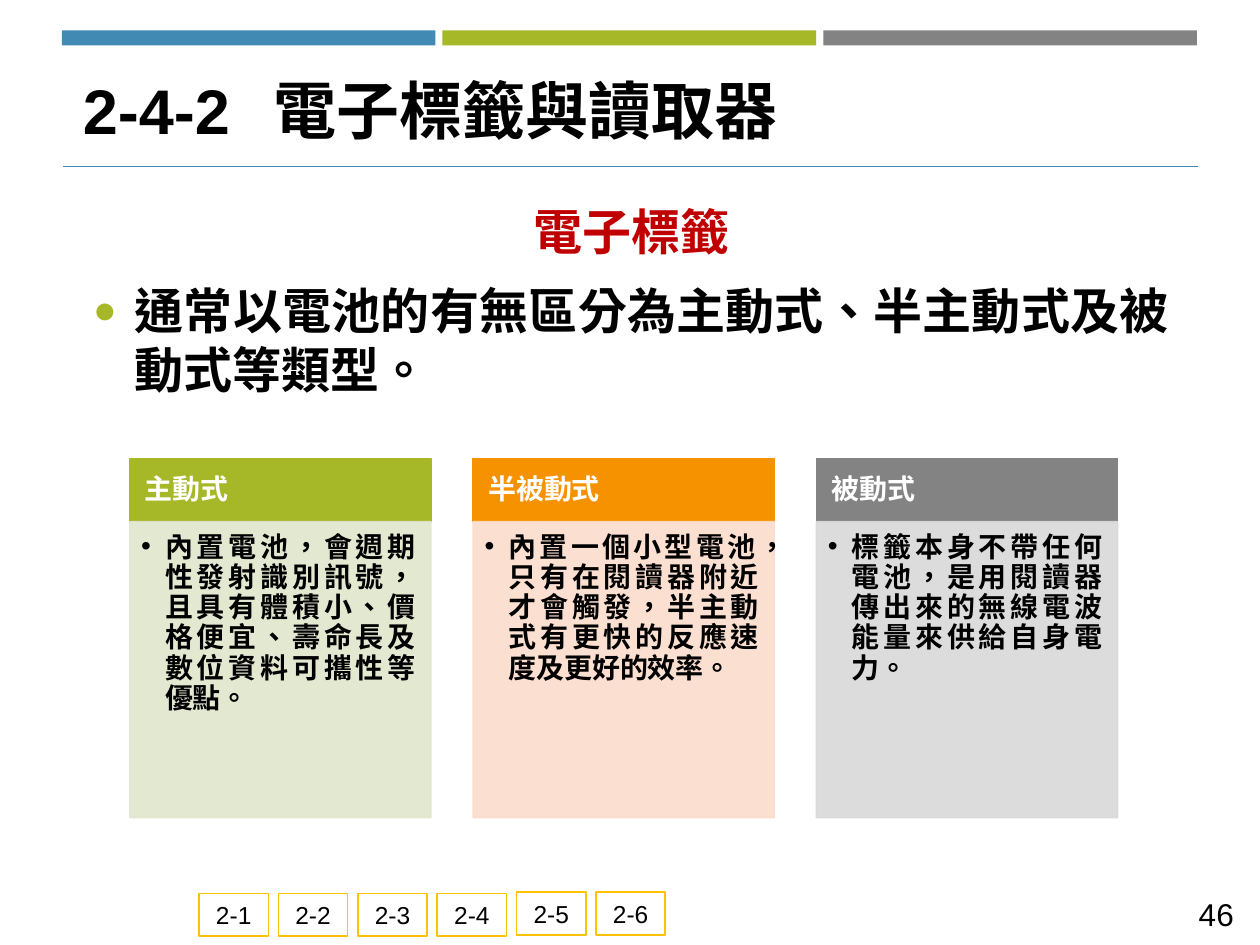
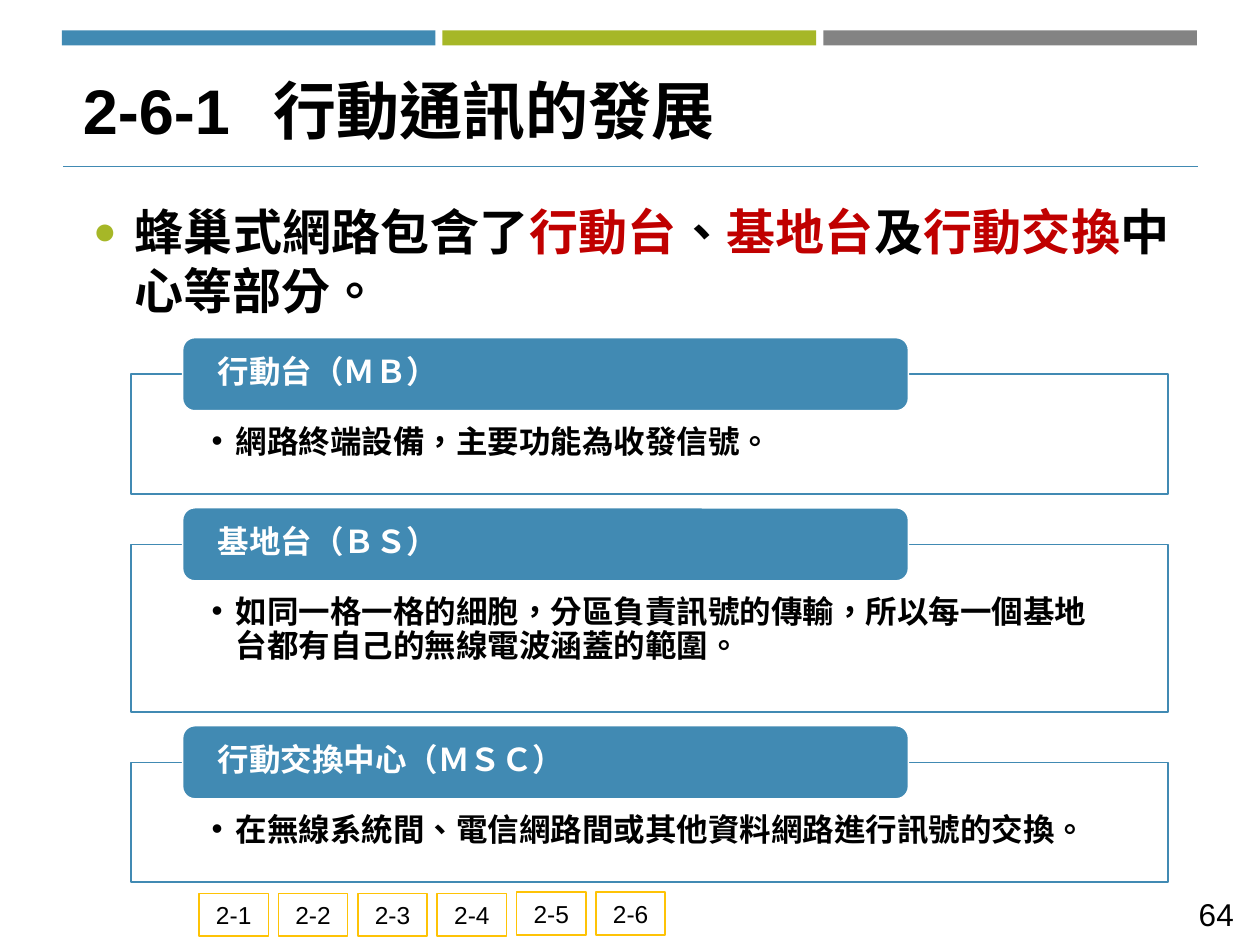
from typing import NamedTuple, Optional

from lxml.etree import SubElement
from pptx import Presentation
from pptx.dml.color import RGBColor
from pptx.enum.shapes import MSO_CONNECTOR, MSO_SHAPE
from pptx.enum.text import MSO_ANCHOR, PP_ALIGN
from pptx.oxml.ns import qn
from pptx.util import Inches, Pt

# Grid: every length counts columns or rows of a 100 x 75 grid
COLUMNS, ROWS = 100, 75
SLIDE_WIDTH, SLIDE_HEIGHT = Inches(10), Inches(7.5)
CELL = SLIDE_WIDTH // COLUMNS

# Shared look
FONT = "Arial"
BLUE, GREEN, GRAY, ORANGE, GOLD = "418AB3", "A6B727", "838383", "F69200", "FEC306"
BLACK, WHITE, RED = "000000", "FFFFFF", "C00000"
HAIRLINE = 0.85
LEFT, CENTER, RIGHT, JUSTIFY = (PP_ALIGN.LEFT, PP_ALIGN.CENTER,
                                PP_ALIGN.RIGHT, PP_ALIGN.JUSTIFY)
SECTIONS = ["2-1", "2-2", "2-3", "2-4", "2-5", "2-6"]


class Box(NamedTuple):
    col: float
    row: float
    cols: float
    rows: float


class Insets(NamedTuple):
    left: float = 1
    top: float = 0.5
    right: float = 1
    bottom: float = 0.5


class Bullet(NamedTuple):
    char: str
    indent: float
    color: str = BLACK
    percent: int = 100


class Span(NamedTuple):
    text: str
    color: str = BLACK


class Para(NamedTuple):
    spans: list[Span]
    size: float
    align: PP_ALIGN = LEFT
    bold: bool = True
    bullet: Optional[Bullet] = None
    tab: float = 0
    before: float = 0
    after: float = 0
    spacing: float = 1


class TagType(NamedTuple):
    name: str
    detail: str
    color: str
    tint: str


class NetworkPart(NamedTuple):
    name: str
    detail: str
    rows: float


BODY_BULLET = Bullet("●", 3.3, GREEN, 80)
DETAIL_BULLET = Bullet("•", 1.9)


def grid(cells: float) -> int:
    return round(cells * CELL)


def rgb(color: str) -> RGBColor:
    return RGBColor.from_string(color)


# Text
def set_bullet(p_pr, bullet: Bullet) -> None:
    p_pr.set("marL", str(grid(bullet.indent)))
    p_pr.set("indent", str(-grid(bullet.indent)))
    SubElement(SubElement(p_pr, qn("a:buClr")), qn("a:srgbClr"), val=bullet.color)
    SubElement(p_pr, qn("a:buSzPct"), val=str(bullet.percent * 1000))
    SubElement(p_pr, qn("a:buFont"), typeface=FONT)
    SubElement(p_pr, qn("a:buChar"), char=bullet.char)


def write(shape, paras: list[Para], insets: Insets = Insets(),
          anchor: MSO_ANCHOR = MSO_ANCHOR.TOP) -> None:
    frame = shape.text_frame
    frame.word_wrap = True
    frame.vertical_anchor = anchor
    frame.margin_left, frame.margin_top, frame.margin_right, frame.margin_bottom = map(
        grid, insets)
    for index, para in enumerate(paras):
        paragraph = frame.add_paragraph() if index else frame.paragraphs[0]
        p_pr = paragraph._p.get_or_add_pPr()
        if para.bullet:
            set_bullet(p_pr, para.bullet)
        if para.tab:
            stops = SubElement(p_pr, qn("a:tabLst"))
            SubElement(stops, qn("a:tab"), pos=str(grid(para.tab)), algn="l")
        paragraph.alignment = para.align
        paragraph.line_spacing = para.spacing
        paragraph.space_before = Pt(para.before)
        paragraph.space_after = Pt(para.after)
        for span in para.spans:
            run = paragraph.add_run()
            run.text = span.text
            run.font.name = FONT
            run.font.size = Pt(para.size)
            run.font.bold = para.bold
            run.font.color.rgb = rgb(span.color)
            r_pr = run._r.get_or_add_rPr()
            r_pr.set("lang", "zh-TW")
            SubElement(r_pr, qn("a:ea"), typeface=FONT)


def add_text(slide, box: Box, paras: list[Para],
             anchor: MSO_ANCHOR = MSO_ANCHOR.TOP) -> None:
    write(slide.shapes.add_textbox(*map(grid, box)), paras, anchor=anchor)


# Shapes
def add_block(slide, box: Box, fill: str, line: Optional[str] = None,
              kind: MSO_SHAPE = MSO_SHAPE.RECTANGLE, opacity: int = 100):
    block = slide.shapes.add_shape(kind, *map(grid, box))
    block.shadow.inherit = False
    block.fill.solid()
    block.fill.fore_color.rgb = rgb(fill)
    if line:
        block.line.color.rgb = rgb(line)
        block.line.width = Pt(HAIRLINE)
    else:
        block.line.fill.background()
    if opacity < 100:
        for color in block._element.spPr.iter(qn("a:srgbClr")):
            SubElement(color, qn("a:alpha"), val=str(opacity * 1000))
    return block


# Parts that every slide shares
def add_section_tabs(slide) -> None:
    for index, section in enumerate(SECTIONS):
        row = 70.9 if index < 4 else 70.8
        tab = add_block(slide, Box(15.8 + 6.3 * index, row, 5.5, 3.4), WHITE, GOLD)
        write(tab, [Para([Span(section)], 14, CENTER, bold=False)],
              anchor=MSO_ANCHOR.MIDDLE)


def add_top_bands(slide) -> None:
    for index, color in enumerate([BLUE, GREEN, GRAY]):
        add_block(slide, Box(4.9 + 30.22 * index, 2.4, 29.65, 1.2), color)


def add_title_rule(slide) -> None:
    rule = slide.shapes.add_connector(MSO_CONNECTOR.STRAIGHT, grid(5), grid(13.2),
                                      grid(95.1), grid(13.2))
    rule.line.color.rgb = rgb(BLUE)
    rule.line.width = Pt(0.75)
    SubElement(rule._element.spPr, qn("a:effectLst"))


def add_page(deck, number: str, topic: str, page: int, body: list[Para]):
    slide = deck.slides.add_slide(deck.slide_layouts[6])
    add_section_tabs(slide)
    add_top_bands(slide)
    add_title_rule(slide)
    add_text(slide, Box(5.6, 4.6, 88.2, 8.1),
             [Para([Span(f"{number}\t{topic}")], 36, tab=15.1)], MSO_ANCHOR.MIDDLE)
    add_text(slide, Box(6.4, 15.5, 87.4, 53.4), body)
    add_text(slide, Box(90.5, 70.5, 8.4, 4),
             [Para([Span(str(page))], 18, RIGHT, bold=False)], MSO_ANCHOR.MIDDLE)
    return slide


# Slide: tag types in three columns
TAG_TYPES = [
    TagType("主動式",
            "內置電池，會週期性發射識別訊號，且具有體積小、價格便宜、壽命長及數位資料可攜性等優點。",
            GREEN, "E1E6CD"),
    TagType("半被動式",
            "內置一個小型電池，只有在閱讀器附近才會觸發，半主動式有更快的反應速度及更好的效率。",
            ORANGE, "FBDCCC"),
    TagType("被動式",
            "標籤本身不帶任何電池，是用閱讀器傳出來的無線電波能量來供給自身電力。",
            GRAY, "D9D9D9"),
]


def add_tag_slide(deck) -> None:
    slide = add_page(deck, "2-4-2", "電子標籤與讀取器", 46, [
        Para([Span("電子標籤", RED)], 28, CENTER, after=6),
        Para([Span("通常以電池的有無區分為主動式、半主動式及被動式等類型。")], 28, JUSTIFY,
             bullet=BODY_BULLET, before=5.6, after=6),
    ])
    for index, tag in enumerate(TAG_TYPES):
        col = 10.3 + 27.25 * index
        header = add_block(slide, Box(col, 36.4, 23.9, 5), tag.color, tag.color)
        write(header, [Para([Span(tag.name, WHITE)], 16, JUSTIFY, spacing=0.9)],
              Insets(1.2, 0.7, 1.2, 0.7), MSO_ANCHOR.MIDDLE)
        panel = add_block(slide, Box(col, 41.4, 23.9, 23.5), tag.tint, tag.tint,
                          opacity=90)
        write(panel, [Para([Span(tag.detail)], 16, JUSTIFY, bullet=DETAIL_BULLET,
                           spacing=0.9)],
              Insets(0.9, 0.9, 1.2, 1.4))


# Slide: network parts in stacked frames
NETWORK_PARTS = [
    NetworkPart("行動台（ＭＢ）", "網路終端設備，主要功能為收發信號。", 9.5),
    NetworkPart("基地台（ＢＳ）",
                "如同一格一格的細胞，分區負責訊號的傳輸，所以每一個基地台都有自己的無線電波涵蓋的範圍。",
                13.3),
    NetworkPart("行動交換中心（ＭＳＣ）",
                "在無線系統間、電信網路間或其他資料網路進行訊號的交換。", 9.5),
]


def add_network_slide(deck) -> None:
    slide = add_page(deck, "2-6-1", "行動通訊的發展", 64, [
        Para([Span("蜂巢式網路包含了"), Span("行動台", RED), Span("、"),
              Span("基地台", RED), Span("及"), Span("行動交換", RED),
              Span("中心等部分。")], 28, JUSTIFY, bullet=BODY_BULLET, after=6),
    ])
    label_row, label_rows, gap = 26.8, 5.8, 1.1
    for part in NETWORK_PARTS:
        frame_row = label_row + label_rows / 2
        frame = add_block(slide, Box(10.4, frame_row, 82.3, part.rows), WHITE, BLUE)
        write(frame, [Para([Span(part.detail)], 18, bullet=DETAIL_BULLET, spacing=0.9)],
              Insets(6.4, 4.1, 6.4, 1.4))
        label = add_block(slide, Box(14.5, label_row, 57.6, label_rows), BLUE, WHITE,
                          MSO_SHAPE.ROUNDED_RECTANGLE)
        write(label, [Para([Span(part.name, WHITE)], 18, spacing=0.9)],
              Insets(2.5, 0, 2.5, 0.2), MSO_ANCHOR.MIDDLE)
        label_row = frame_row + part.rows + gap


def main() -> None:
    deck = Presentation()
    deck.slide_width, deck.slide_height = SLIDE_WIDTH, SLIDE_HEIGHT
    add_tag_slide(deck)
    add_network_slide(deck)
    deck.save("out.pptx")


if __name__ == "__main__":
    main()
